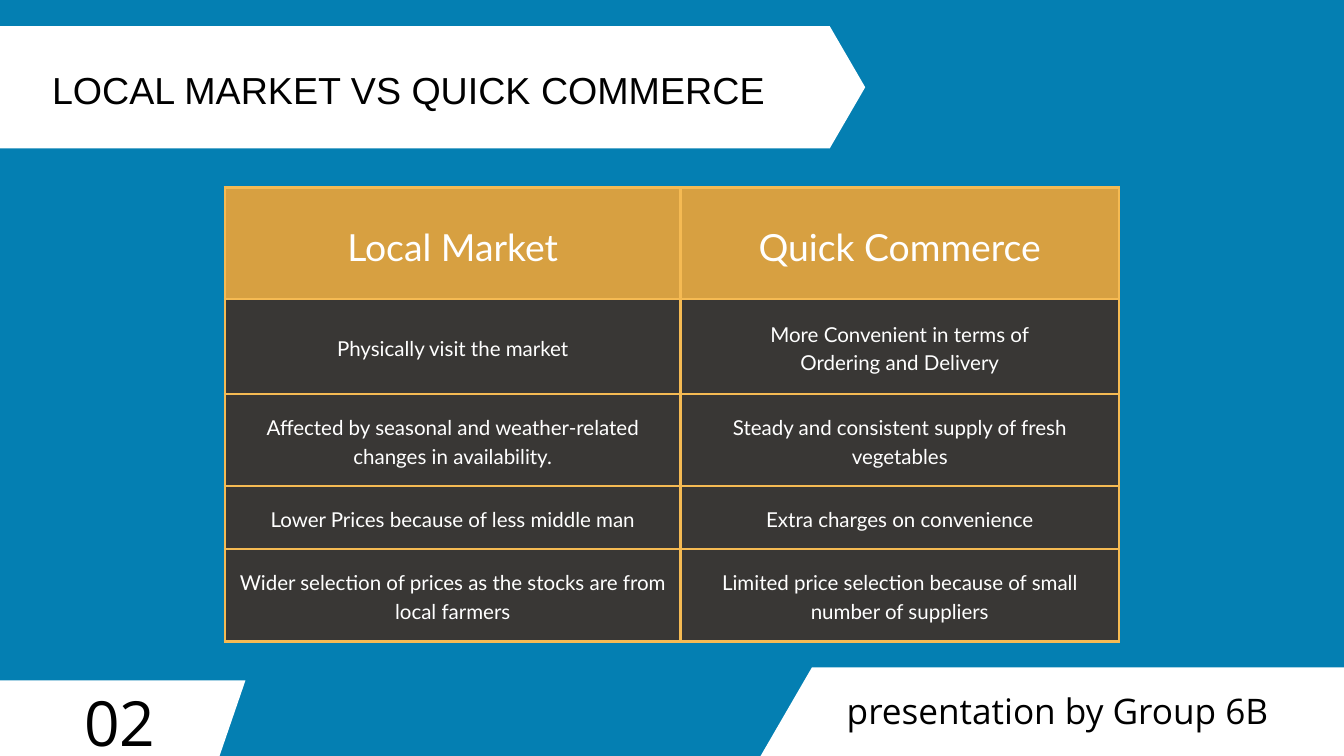
from lxml import etree
from pptx import Presentation
from pptx import util as u
from pptx.dml.color import RGBColor
from pptx.enum import text
from pptx.oxml import ns

COLOURS = {
    "background": "047FB2",
    "ribbon": "FFFFFF",
    "ink": "000000",
    "header": "D7A041",
    "body": "393735",
    "border": "F5BA53",
    "cell text": "FFFFFF",
}
FORMATS = {
    "title": dict(size=40.3, name="Arial", colour="ink", spacing=56.5, align="CENTER"),
    "credit": dict(size=37.7, name="Open Sans", colour="ink", spacing=52.8, align="RIGHT"),
    "number": dict(size=66.7, name="Open Sans", colour="ink", spacing=93.3, align="CENTER"),
    "header": dict(size=40, name="Lato", colour="cell text", spacing=56, align="CENTER"),
    "body": dict(size=22, name="Lato", colour="cell text", spacing=30.8, align="CENTER"),
}
COMPARISON = [
    ("Local Market", "Quick Commerce"),
    ("Physically visit the market",
     "More Convenient in terms of\nOrdering and Delivery"),
    ("Affected by seasonal and weather-related changes in availability.",
     "Steady and consistent supply of fresh vegetables"),
    ("Lower Prices because of less middle man", "Extra charges on convenience"),
    ("Wider selection of prices as the stocks are from local farmers",
     "Limited price selection because of small number of suppliers"),
]
COLUMN_WIDTHS = [488, 470]
ROW_HEIGHTS = [119.5, 101.5, 98.75, 67.75, 98.75]
SIDES = ("left", "top", "width", "height")
MARGINS = ("margin_left", "margin_top", "margin_right", "margin_bottom")


def rgb(name):
    return RGBColor.from_string(COLOURS[name])


def paint(fill, name):
    fill.solid()
    fill.fore_color.rgb = rgb(name)


def format_text(frame, style):
    look = FORMATS[style]
    for para in frame.paragraphs:
        para.alignment = getattr(text.PP_ALIGN, look["align"])
        para.line_spacing = u.Pt(look["spacing"])
        for span in para.runs:
            settings = dict(size=u.Pt(look["size"]), name=look["name"], bold=False)
            for key, value in settings.items():
                setattr(span.font, key, value)
            span.font.color.rgb = rgb(look["colour"])


def fill_box(box, words, style, bounds):
    for side, value in zip(SIDES, bounds):
        setattr(box, side, u.Pt(value))
    frame = box.text_frame
    settings = dict.fromkeys(MARGINS, 0)
    settings.update(word_wrap=True, auto_size=text.MSO_AUTO_SIZE.NONE,
                    vertical_anchor=text.MSO_ANCHOR.TOP, text=words)
    for key, value in settings.items():
        setattr(frame, key, value)
    format_text(frame, style)


def add_label(page, words, style, bounds):
    fill_box(page.shapes.add_textbox(0, 0, 0, 0), words, style, bounds)


def add_title(page, words, bounds):
    """Fill the title placeholder and bring it in front of its ribbon."""
    title = page.shapes.title
    fill_box(title, words, "title", bounds)
    page.shapes.element.append(title.element)


def add_ribbon(page, left, top, right, bottom, left_shift, right_shift):
    """Draw a band whose side edges bend by the given shifts at mid height."""
    middle = (top + bottom) / 2
    points = [(right, top), (right + right_shift, middle), (right, bottom),
              (left, bottom), (left + left_shift, middle)]
    builder = page.shapes.build_freeform(u.Pt(left), u.Pt(top))
    builder.add_line_segments([(u.Pt(x), u.Pt(y)) for x, y in points], close=True)
    ribbon = builder.convert_to_shape()
    ribbon.shadow.inherit = False
    paint(ribbon.fill, "ribbon")
    ribbon.line.fill.background()


def add_borders(cell, width):
    properties = cell._tc.get_or_add_tcPr()
    for index, tag in enumerate(("a:lnL", "a:lnR", "a:lnT", "a:lnB")):
        line = etree.Element(ns.qn(tag), w=str(u.Pt(width)))
        fill = etree.SubElement(line, ns.qn("a:solidFill"))
        etree.SubElement(fill, ns.qn("a:srgbClr"), val=COLOURS["border"])
        properties.insert(index, line)


def add_comparison(page, left, top):
    table = page.shapes.add_table(
        len(ROW_HEIGHTS), len(COLUMN_WIDTHS), u.Pt(left), u.Pt(top),
        u.Pt(sum(COLUMN_WIDTHS)), u.Pt(sum(ROW_HEIGHTS))).table
    table.horz_banding = False
    for column, width in zip(table.columns, COLUMN_WIDTHS):
        column.width = u.Pt(width)
    for index, (row, height, entries) in enumerate(zip(table.rows, ROW_HEIGHTS, COMPARISON)):
        row.height = u.Pt(height)
        style = "body" if index else "header"
        for cell, words in zip(row.cells, entries):
            settings = dict.fromkeys(MARGINS, u.Pt(15))
            settings.update(vertical_anchor=text.MSO_ANCHOR.MIDDLE, text=words)
            for key, value in settings.items():
                setattr(cell, key, value)
            paint(cell.fill, style)
            add_borders(cell, 3)
            format_text(cell.text_frame, style)


def main():
    deck = Presentation()
    deck.slide_width, deck.slide_height = u.Pt(1440), u.Pt(810)
    page = deck.slides.add_slide(deck.slide_layouts.get_by_name("Title Only"))
    paint(page.background.fill, "background")

    add_ribbon(page, -129, 729, 263, 904, 30, -30)
    add_ribbon(page, 870, 715, 1528.5, 975.5, -75.5, -75)
    add_label(page, "presentation by Group 6B", "credit", (772, 731.5, 587, 49))
    add_ribbon(page, -52, 28, 889, 159, 37.5, 38)
    add_comparison(page, 241, 201)
    add_title(page, "LOCAL MARKET VS QUICK COMMERCE", (34.5, 63.5, 806.5, 54.5))
    add_label(page, "02", "number", (67, 719.5, 123, 89))

    deck.save("out.pptx")


if __name__ == "__main__":
    main()
